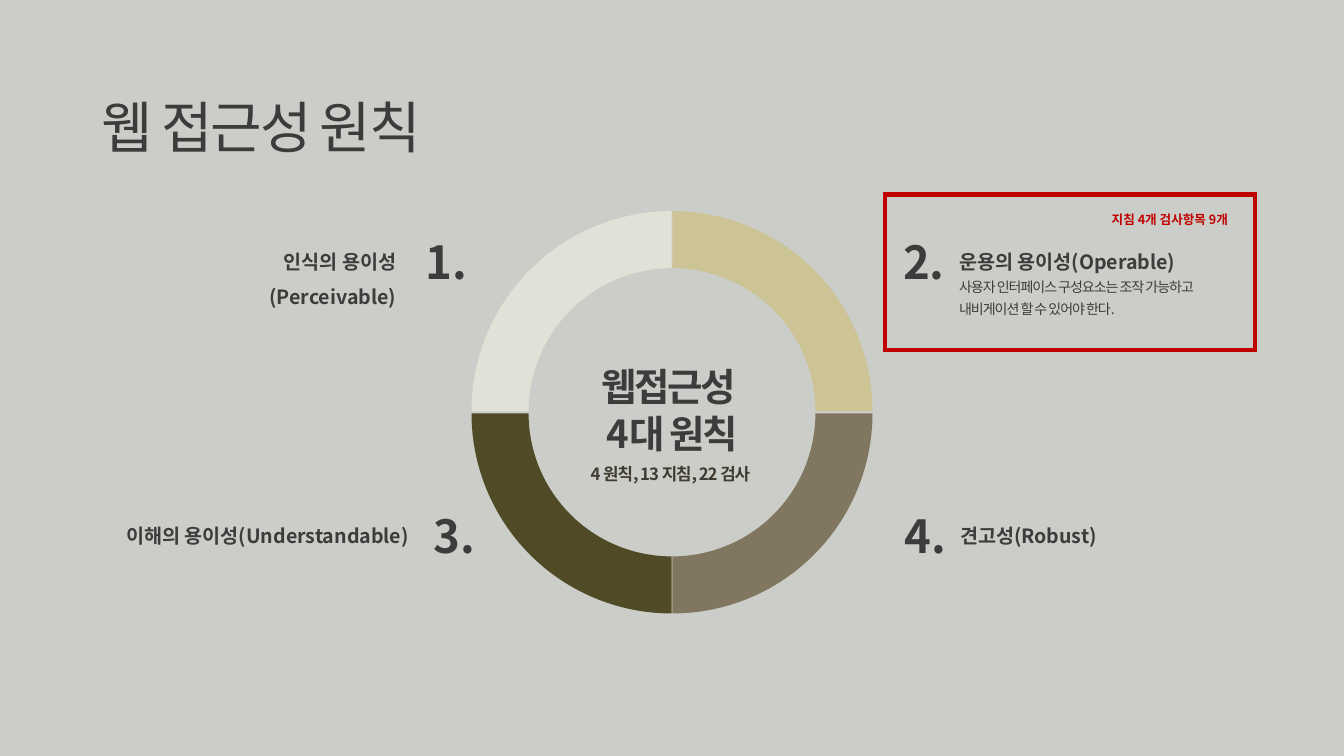
from dataclasses import dataclass
from math import cos, radians, sin, tan

from lxml.etree import SubElement
from pptx import Presentation
from pptx.dml.color import RGBColor
from pptx.enum.shapes import MSO_SHAPE as Preset
from pptx.enum.text import MSO_ANCHOR as Anchor, MSO_AUTO_SIZE as AutoSize, PP_ALIGN as Align
from pptx.oxml.ns import qn
from pptx.util import Pt


@dataclass(frozen=True)
class Theme:
    font: str = "Noto Sans CJK KR"
    background: str = "CBCEC8"
    text: str = "3C3C3C"
    caption: str = "403B30"
    accent: str = "C00000"
    ring: tuple = ("CDC496", "E1E1D7", "504A26", "817660")
    title_size: int = 80
    number_size: int = 65
    center_size: int = 55
    label_size: int = 28
    caption_size: int = 24
    body_size: int = 20
    note_size: int = 18


THEME = Theme()
CENTER_X, CENTER_Y = 960, 589
OUTER_RADIUS, INNER_RADIUS = 286, 204.5
GAP_X, GAP_Y = 0.4, 1.4  # half of the gap between ring quarters


def color(value):
    return RGBColor.from_string(value)


def write(shape, lines, size, ink=THEME.text, bold=False, align=Align.LEFT,
          leading=None, tracking=0, inset=(4.3, 4.3), wrap=True):
    """Fill a text shape with one paragraph per line."""
    frame = shape.text_frame
    across, down = map(Pt, inset)
    for name, value in {"margin_left": across, "margin_right": across,
                        "margin_top": down, "margin_bottom": down, "word_wrap": wrap,
                        "auto_size": AutoSize.NONE, "vertical_anchor": Anchor.TOP}.items():
        setattr(frame, name, value)
    frame.text = "\n".join(lines)
    for paragraph in frame.paragraphs:
        for name, value in {"alignment": align, "line_spacing": leading,
                            "space_before": Pt(0)}.items():
            setattr(paragraph, name, value)
        for run in paragraph.runs:
            for name, value in {"name": THEME.font, "size": Pt(size), "bold": bold}.items():
                setattr(run.font, name, value)
            run.font.color.rgb = color(ink)
            properties = run.font._element
            SubElement(properties, qn("a:ea")).set("typeface", THEME.font)
            if tracking:
                properties.set("spc", str(int(tracking * 100)))


def add_text(slide, box, lines, size, **style):
    write(slide.shapes.add_textbox(*map(Pt, box)), lines, size, **style)


def add_title(slide, text):
    title = slide.shapes.title
    for name, value in {"left": 140.4, "top": 128.2, "width": 860, "height": 150}.items():
        setattr(title, name, Pt(value))
    write(title, [text], THEME.title_size, tracking=-3)


def arc_points(x, y, radius, start, step):
    """Bezier points of a quarter turn, made of two arcs of 45 degrees."""
    handle = 4 / 3 * tan(radians(step) / 4) * radius

    def point(degrees, pull=0):
        angle = radians(degrees)
        return (Pt(x + radius * cos(angle) - pull * sin(angle)),
                Pt(y - radius * sin(angle) - pull * cos(angle)))

    points = [point(start)]
    for begin in (start, start + step):
        end = begin + step
        points += [point(begin, handle), point(end, -handle), point(end)]
    return points


def curve(segments):
    """Join three line segments into one cubic curve."""
    first, *others = segments
    first.tag = qn("a:cubicBezTo")
    for segment in others:
        first.append(segment[0])
        segment.getparent().remove(segment)


def add_quarter(slide, index, fill):
    """Draw one quarter of the ring, counter-clockwise from the upper right."""
    x = CENTER_X + (GAP_X if index in (0, 3) else -GAP_X)
    y = CENTER_Y + (GAP_Y if index in (2, 3) else -GAP_Y)
    outer = arc_points(x, y, OUTER_RADIUS, 90 * index, 45)
    inner = arc_points(x, y, INNER_RADIUS, 90 * index + 90, -45)
    builder = slide.shapes.build_freeform(*outer[0])
    builder.add_line_segments(outer[1:] + inner, close=True)
    quarter = builder.convert_to_shape()
    segments = list(quarter._element.iter(qn("a:lnTo")))
    for first in (0, 3, 7, 10):  # segment 6 stays straight
        curve(segments[first:first + 3])
    quarter.shadow.inherit = False
    quarter.fill.solid()
    quarter.fill.fore_color.rgb = color(fill)
    quarter.line.fill.background()


def add_principle(slide, number, text, top, number_left, label_left, label_width, align):
    add_text(slide, (number_left, top, 67.7, 108), [f"{number}."],
             THEME.number_size, bold=True, wrap=False)
    add_text(slide, (label_left, top + 4.5, label_width, 42), [text], THEME.label_size,
             bold=True, align=align, leading=1.5, inset=(5.8, 5.8))


def add_highlight(slide, box):
    frame = slide.shapes.add_shape(Preset.RECTANGLE, *map(Pt, box))
    frame.shadow.inherit = False
    frame.fill.background()
    frame.line.color.rgb = color(THEME.accent)
    frame.line.width = Pt(6)
    SubElement(frame.line._ln, qn("a:miter")).set("lim", "800000")


def main():
    presentation = Presentation()
    presentation.slide_width, presentation.slide_height = Pt(1920), Pt(1080)
    slide = presentation.slides.add_slide(presentation.slide_layouts[5])
    slide.background.fill.solid()
    slide.background.fill.fore_color.rgb = color(THEME.background)
    add_title(slide, "웹 접근성 원칙")

    # Ring and its centre text
    for index, fill in enumerate(THEME.ring):
        add_quarter(slide, index, fill)
    add_text(slide, (796.3, 514.8, 327.6, 144), ["웹접근성 ", "4대 원칙"], THEME.center_size,
             bold=True, align=Align.CENTER, tracking=-3)
    add_text(slide, (786, 645, 343.4, 49), ["4 원칙, 13 지침, 22 검사"], THEME.caption_size,
             ink=THEME.caption, bold=True, align=Align.CENTER, leading=1.4,
             tracking=-1.5, inset=(5.8, 5.8))

    # Four principles around the ring
    upper, lower = 330.2, 721.8
    for principle in (
        (1, "인식의 용이성(Perceivable)", upper, 604.1, 231.8, 340, Align.RIGHT),
        (2, "운용의 용이성(Operable)", upper, 1285.9, 1364.4, 357, Align.LEFT),
        (3, "이해의 용이성(Understandable)", lower, 615.6, 162.7, 427, Align.RIGHT),
        (4, "견고성(Robust)", lower, 1288.1, 1365.8, 357, Align.LEFT),
    ):
        add_principle(slide, *principle)

    # Highlighted second principle
    add_text(slide, (1364.4, 385.2, 391.7, 100),
             ["사용자 인터페이스 구성요소는 조작 가능하고 내비게이션 할 수 있어야 한다."],
             THEME.body_size, leading=1.3, tracking=-1.5, inset=(5.8, 5.8))
    add_highlight(slide, (1264.3, 277.9, 528.5, 221.8))
    add_text(slide, (1581.1, 292.3, 260.6, 33), ["지침 4개 검사항목 9개"], THEME.note_size,
             ink=THEME.accent, bold=True, leading=1.3, inset=(7.2, 3.6))
    presentation.save("out.pptx")


if __name__ == "__main__":
    main()
